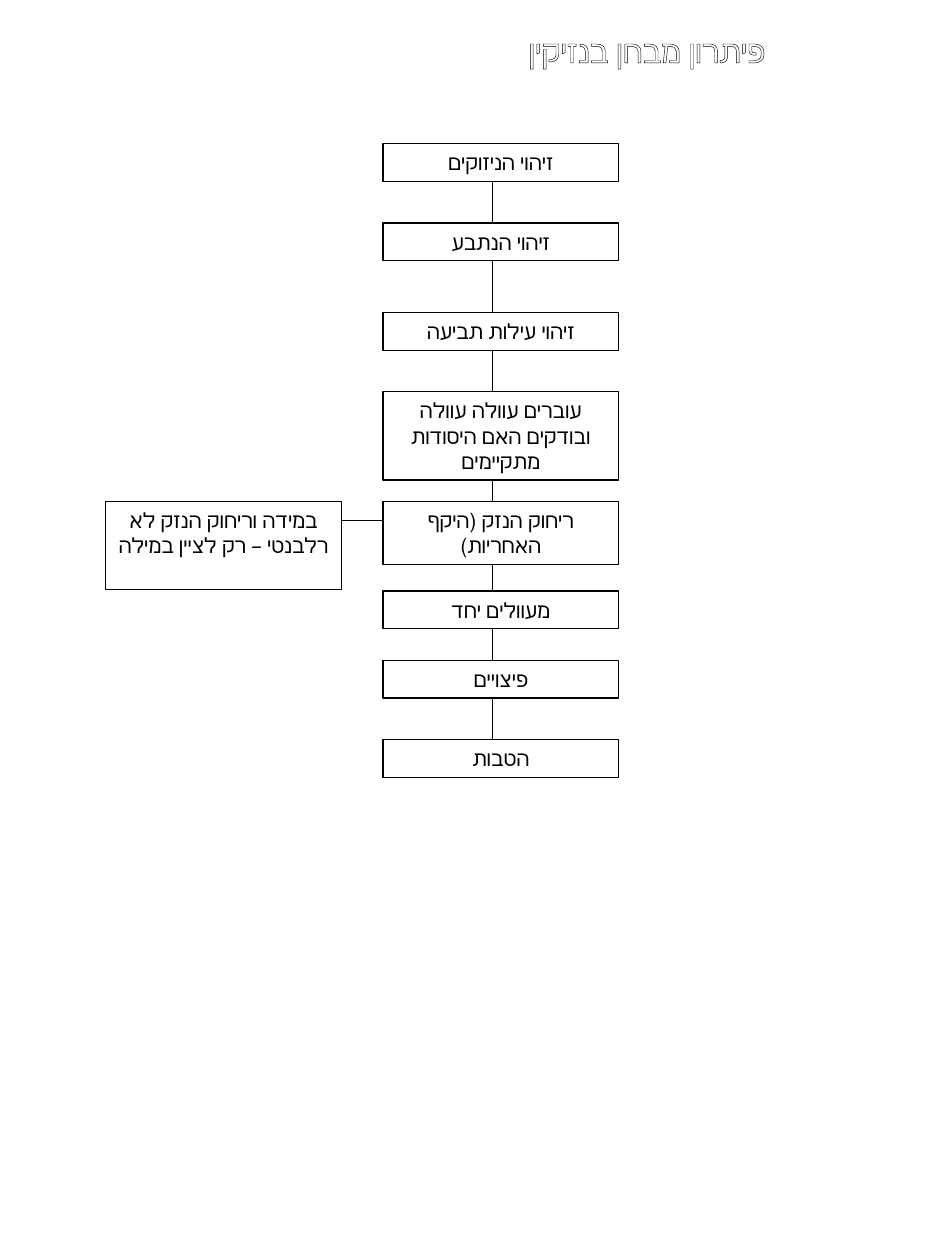
import pptx
import pptx.util
import pptx.dml.color
import pptx.enum.shapes
import pptx.enum.text
import pptx.oxml
import pptx.oxml.ns
import pptx.oxml.xmlchemy
from pptx.util import Inches

BLACK = pptx.dml.color.RGBColor(0, 0, 0)
WHITE = pptx.dml.color.RGBColor(255, 255, 255)
LINE_WIDTH = pptx.util.Pt(0.75)

BOX_WIDTH = 1.87
STEP_LEFT = 3.04
SPINE_X = 3.91
# Top, height and wording of each step
STEPS = [
    (1.14, 0.3, "זיהוי הניזוקים"),
    (1.77, 0.3, "זיהוי הנתבע"),
    (2.48, 0.3, "זיהוי עילות תביעה"),
    (3.11, 0.7, "עוברים עוולה עוולה ובודקים האם היסודות מתקיימים"),
    (3.98, 0.5, "ריחוק הנזק (היקף האחריות)"),
    (4.69, 0.3, "מעוולים יחד"),
    (5.24, 0.3, "פיצויים"),
    (5.87, 0.3, "הטבות"),
]


def add_line(slide, x1, y1, x2, y2):
    s = slide.shapes.add_connector(
        pptx.enum.shapes.MSO_CONNECTOR.STRAIGHT,
        Inches(x1), Inches(y1), Inches(x2), Inches(y2))
    s.line.color.rgb = BLACK
    s.line.width = LINE_WIDTH
    s._element.spPr.append(pptx.oxml.xmlchemy.OxmlElement("a:effectLst"))


def add_run(p, text, font, size, color):
    r = p.add_run()
    r.text = text
    r.font.name = font
    r.font.size = pptx.util.Pt(size)
    r.font.color.rgb = color
    return r


def outline_run(r):
    """Draw a thin black outline around the letters."""
    ns = pptx.oxml.ns.nsdecls("a")
    ln = pptx.oxml.parse_xml(
        f'<a:ln {ns} w="{int(LINE_WIDTH)}"><a:solidFill>'
        f'<a:srgbClr val="{BLACK}"/></a:solidFill></a:ln>')
    r._r.get_or_add_rPr().insert(0, ln)


def add_title(slide, text):
    s = slide.shapes.add_textbox(
        Inches(0.99), Inches(0.2), Inches(5.18), Inches(0.71))
    tf = s.text_frame
    tf.word_wrap = False
    p = tf.paragraphs[0]
    p.alignment = pptx.enum.text.PP_ALIGN.RIGHT
    outline_run(add_run(p, text, "Times New Roman", 18, WHITE))


def add_box(slide, left, top, height, text):
    s = slide.shapes.add_shape(
        pptx.enum.shapes.MSO_SHAPE.RECTANGLE,
        Inches(left), Inches(top), Inches(BOX_WIDTH), Inches(height))
    s.shadow.inherit = False
    s.fill.solid()
    s.fill.fore_color.rgb = WHITE
    s.line.color.rgb = BLACK
    s.line.width = LINE_WIDTH
    tf = s.text_frame
    tf.word_wrap = True
    tf.vertical_anchor = pptx.enum.text.MSO_ANCHOR.TOP
    p = tf.paragraphs[0]
    p.alignment = pptx.enum.text.PP_ALIGN.CENTER
    p._p.get_or_add_pPr().set("rtl", "1")
    add_run(p, text, "Arial", 12, BLACK)


def main():
    prs = pptx.Presentation()
    prs.slide_width = Inches(7.5)
    prs.slide_height = Inches(10)
    slide = prs.slides.add_slide(prs.slide_layouts[6])

    # Lines run behind the boxes
    add_line(slide, 2.57, 4.13, 3.2, 4.13)
    add_line(slide, SPINE_X, 1.3, SPINE_X, 6.02)

    add_title(slide, "פיתרון מבחן בנזיקין")
    for top, height, text in STEPS:
        add_box(slide, STEP_LEFT, top, height, text)
    add_box(slide, 0.84, 3.98, 0.7,
            "במידה וריחוק הנזק לא רלבנטי – רק לציין במילה")

    prs.save("out.pptx")


if __name__ == "__main__":
    main()
